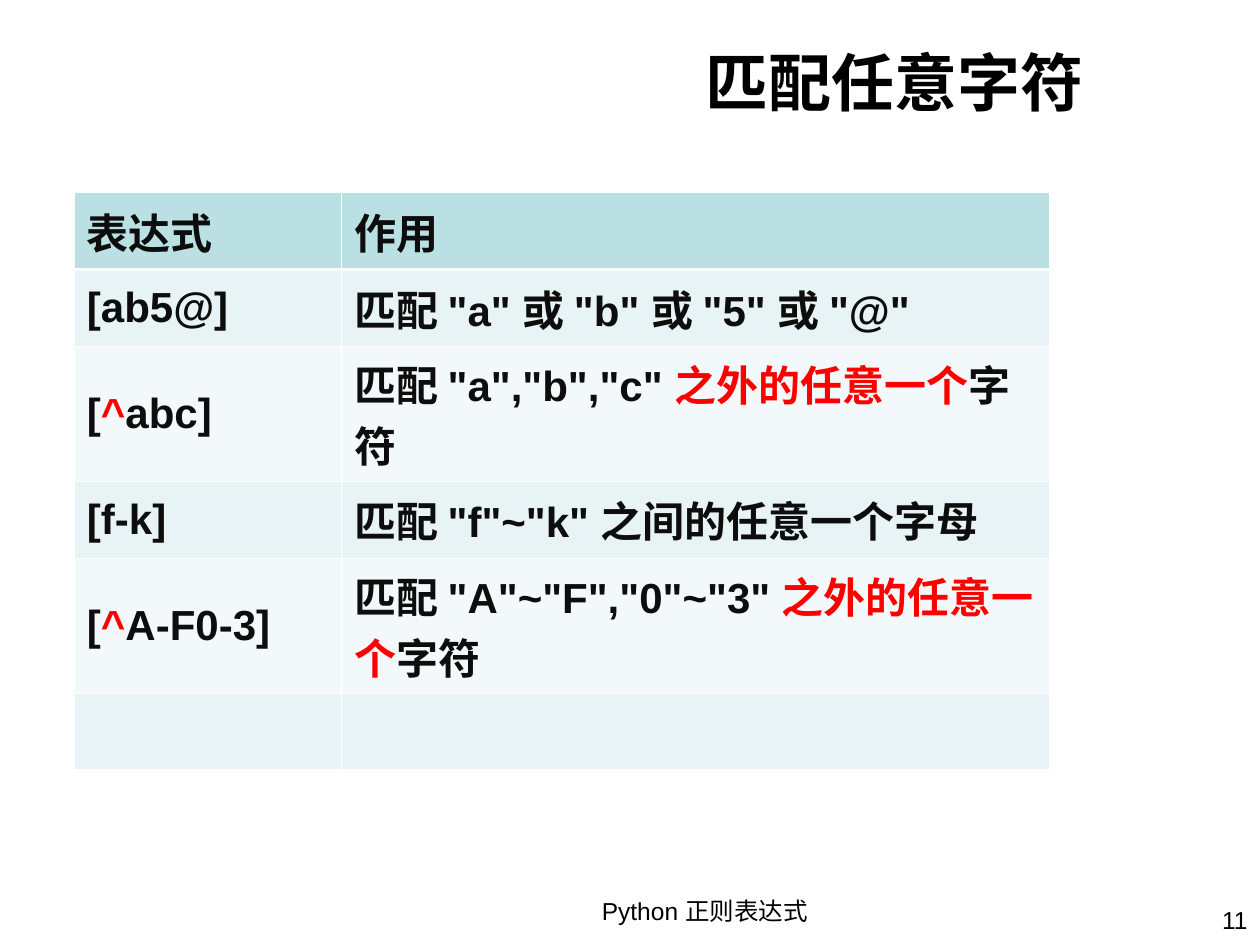
from pptx import Presentation
from pptx.dml.color import RGBColor
from pptx.enum.text import MSO_ANCHOR, PP_ALIGN
from pptx.oxml.ns import qn
from pptx.util import Inches, Pt
from lxml.etree import SubElement

COLORS = {
    "black": "000000",
    "ink": "0D0D0D",
    "accent": "FF0000",
    "border": "FFFFFF",
    "header": "BBE0E3",
    "odd": "E7F3F4",
    "even": "F3F9FA",
}
FONT = "Arial"

COLUMN_WIDTHS = [2.12, 5.62]
ROW_HEIGHTS = [0.61, 0.61, 1.07, 0.61, 1.07, 0.61]
# Each cell is a list of spans; a span in a tuple is highlighted.
ROWS = [
    [["表达式"], ["作用"]],
    [["[ab5@]"], ['匹配 "a" 或 "b" 或 "5" 或 "@"']],
    [["[", ("^",), "abc]"],
     ['匹配 "a","b","c" ', ("之外的任意一个",), "字符"]],
    [["[f-k]"], ['匹配 "f"~"k" 之间的任意一个字母']],
    [["[", ("^",), "A-F0-3]"],
     ['匹配 "A"~"F","0"~"3" ', ("之外的任意一个",), "字符"]],
    [[], []],
]


def rgb(name):
    return RGBColor.from_string(COLORS[name])


def add_span(paragraph, text, size=14, color="black", bold=False):
    span = paragraph.add_run()
    span.text = text
    span.font.name = FONT
    span.font.size = Pt(size)
    span.font.bold = bold
    span.font.color.rgb = rgb(color)


def set_borders(cell, widths):
    """Draw the cell's edges; widths maps L, R, T and B to points."""
    properties = cell._tc.get_or_add_tcPr()
    for side, width in widths.items():
        line = SubElement(properties, qn(f"a:ln{side}"), w=str(Pt(width)))
        fill = SubElement(line, qn("a:solidFill"))
        SubElement(fill, qn("a:srgbClr"), val=COLORS["border"])


class SlideBuilder:
    def __init__(self, deck):
        self.page = deck.slides.add_slide(deck.slide_layouts[6])

    def text(self, text, left, top, width, height, align,
             anchor=MSO_ANCHOR.TOP, **style):
        box = self.page.shapes.add_textbox(
            Inches(left), Inches(top), Inches(width), Inches(height))
        frame = box.text_frame
        frame.word_wrap = True
        frame.vertical_anchor = anchor
        paragraph = frame.paragraphs[0]
        paragraph.alignment = align
        add_span(paragraph, text, **style)

    def table(self, rows, left, top, widths, heights):
        table = self.page.shapes.add_table(
            len(rows), len(widths), Inches(left), Inches(top),
            Inches(sum(widths)), Inches(sum(heights))).table
        for column, width in zip(table.columns, widths):
            column.width = Inches(width)
        for index, (row, height) in enumerate(zip(rows, heights)):
            table.rows[index].height = Inches(height)
            for position, spans in enumerate(row):
                self.cell(table.cell(index, position), spans, index)

    def cell(self, cell, spans, row):
        set_borders(cell, {"L": 0.45, "R": 0.45,
                           "T": 1.47 if row == 1 else 0.45,
                           "B": 1.47 if row == 0 else 0.45})
        cell.fill.solid()
        shade = "header" if row == 0 else "odd" if row % 2 else "even"
        cell.fill.fore_color.rgb = rgb(shade)
        cell.vertical_anchor = MSO_ANCHOR.MIDDLE
        for span in spans:
            marked = isinstance(span, tuple)
            add_span(cell.text_frame.paragraphs[0],
                     span[0] if marked else span, size=24, bold=True,
                     color="accent" if marked else "ink")


def main():
    deck = Presentation()
    deck.slide_width, deck.slide_height = Inches(10), Inches(7.5)
    builder = SlideBuilder(deck)
    builder.text("匹配任意字符", 1.22, 0.21, 7.48, 0.87, PP_ALIGN.RIGHT,
                 anchor=MSO_ANCHOR.MIDDLE, size=36, bold=True)
    builder.table(ROWS, 0.59, 1.53, COLUMN_WIDTHS, ROW_HEIGHTS)
    builder.text("11", 8.39, 7.13, 1.61, 0.37, PP_ALIGN.RIGHT)
    builder.text("Python 正则表达式", 4.61, 7.06, 1.97, 0.44, PP_ALIGN.CENTER)
    deck.save("out.pptx")


if __name__ == "__main__":
    main()
